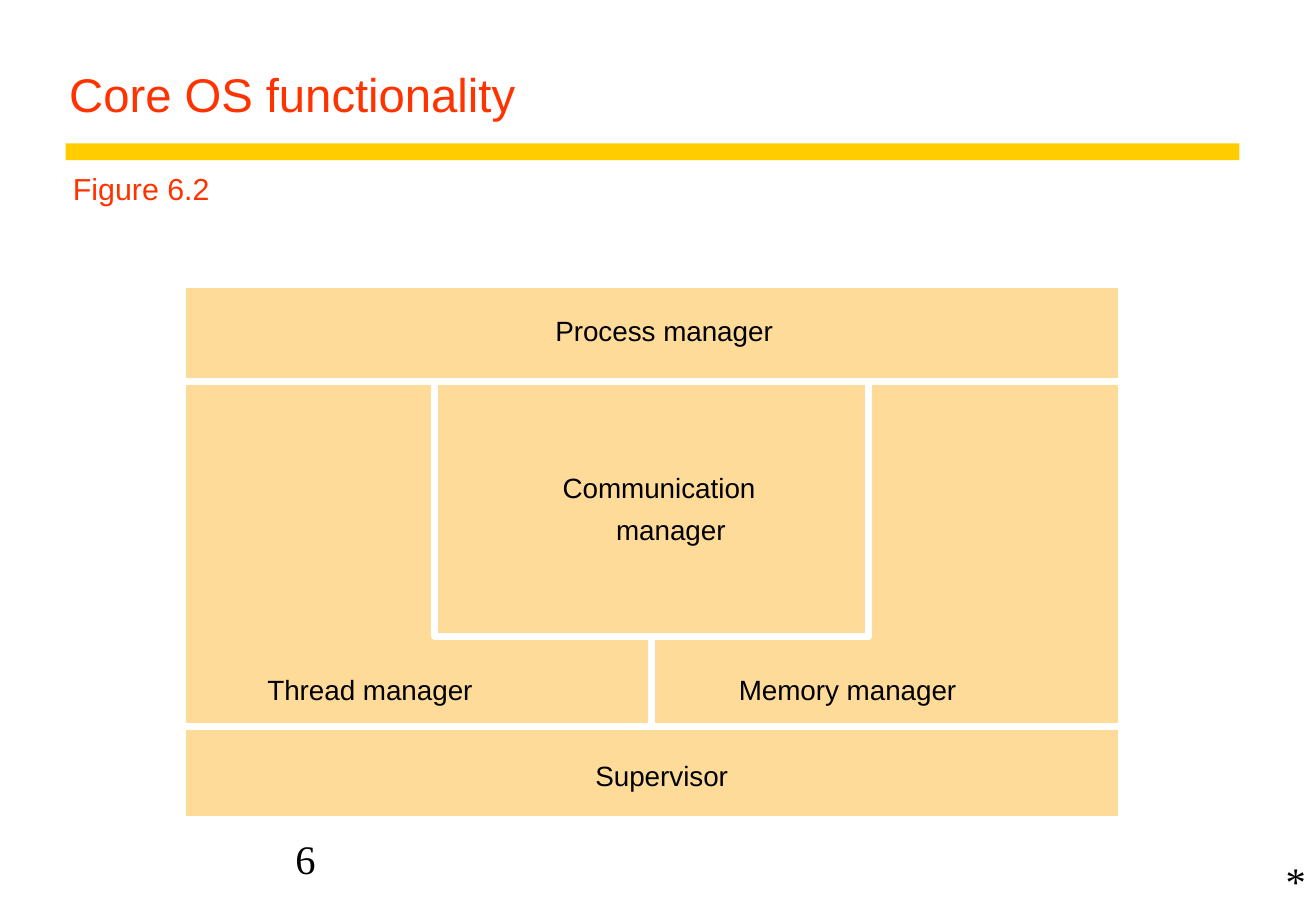
from dataclasses import dataclass

from lxml import etree
from pptx import Presentation
from pptx.dml.color import RGBColor
from pptx.enum.shapes import MSO_CONNECTOR, MSO_SHAPE
from pptx.oxml.ns import qn
from pptx.util import Inches, Pt

RECT = MSO_SHAPE.RECTANGLE
STRAIGHT = MSO_CONNECTOR.STRAIGHT


@dataclass(frozen=True)
class Theme:
    red: RGBColor = RGBColor.from_string("FF3300")
    gold: RGBColor = RGBColor.from_string("FFCC00")
    sand: RGBColor = RGBColor.from_string("FFDB99")
    white: RGBColor = RGBColor.from_string("FFFFFF")
    black: RGBColor = RGBColor.from_string("000000")
    sans: str = "Arial"
    serif: str = "Times New Roman"
    title: float = 28
    figure: float = 18
    label: float = 16.5
    footer: float = 24
    gap: float = 4.1


theme = Theme()
deck = Presentation()
deck.slide_width, deck.slide_height = Inches(10.83), Inches(7.5)
slide = deck.slides.add_slide(deck.slide_layouts[6])
shapes = slide.shapes


def add_block(left, top, width, height, fill):
    block = shapes.add_shape(RECT, Inches(left), Inches(top), Inches(width), Inches(height))
    block.shadow.inherit = False
    block.fill.solid()
    block.fill.fore_color.rgb = fill
    block.line.fill.background()
    return block


def add_text(text, left, top, width, height, size, color=theme.black, face=theme.sans):
    box = shapes.add_textbox(Inches(left), Inches(top), Inches(width), Inches(height))
    frame = box.text_frame
    frame.margin_left = frame.margin_right = frame.margin_bottom = 0
    frame.margin_top = Inches(0.02)
    frame.text = text
    para = frame.paragraphs[0]
    para.font.size, para.font.name = Pt(size), face
    para.font.color.rgb = color
    return frame


# Heading
add_block(0.54, 1.18, 9.66, 0.14, theme.gold)
add_text("Core OS functionality", 0.57, 0.52, 3.7, 0.49, theme.title, theme.red)
add_text("Figure 6.2", 0.6, 1.38, 1.15, 0.33, theme.figure, theme.red)

# Manager blocks, parted by white outlines
blocks = {}
for name, left, top, width, height in (
    ("middle", 1.5, 3.14, 7.73, 2.84),
    ("process", 1.5, 2.34, 7.73, 0.8),
    ("supervisor", 1.5, 5.98, 7.73, 0.77),
    ("communication", 3.58, 3.14, 3.57, 2.1),
):
    block = add_block(left, top, width, height, theme.sand)
    block.line.color.rgb = theme.white
    block.line.width = Pt(theme.gap)
    blocks[name] = block

# Divider between thread and memory managers
split = shapes.add_connector(STRAIGHT, Inches(5.36), Inches(5.24), Inches(5.36), Inches(5.98))
split.begin_connect(blocks["communication"], 2)
split.end_connect(blocks["supervisor"], 0)
split.line.color.rgb = theme.white
split.line.width = Pt(theme.gap)
etree.SubElement(split.element.spPr, qn("a:effectLst"))

# Block labels
for text, left, top, width in (
    ("Process manager", 4.57, 2.56, 1.81),
    ("Thread manager", 2.2, 5.52, 1.72),
    ("Memory manager", 6.08, 5.52, 1.82),
    ("Supervisor", 4.9, 6.23, 1.1),
):
    add_text(text, left, top, width, 0.3, theme.label)

# Wrapped label with a hanging indent
frame = add_text("Communication manager", 4.62, 3.79, 1.61, 0.71, theme.label)
frame.word_wrap = True
para = frame.paragraphs[0]
para.line_spacing = 1.25
props = para._p.get_or_add_pPr()
props.set("marL", str(Inches(0.45)))
props.set("indent", str(Inches(-0.44)))

# Footer
for mark, left, top in (("6", 2.43, 6.85), ("*", 10.58, 7.03)):
    add_text(mark, left, top, 0.19, 0.43, theme.footer, face=theme.serif)

deck.save("out.pptx")
